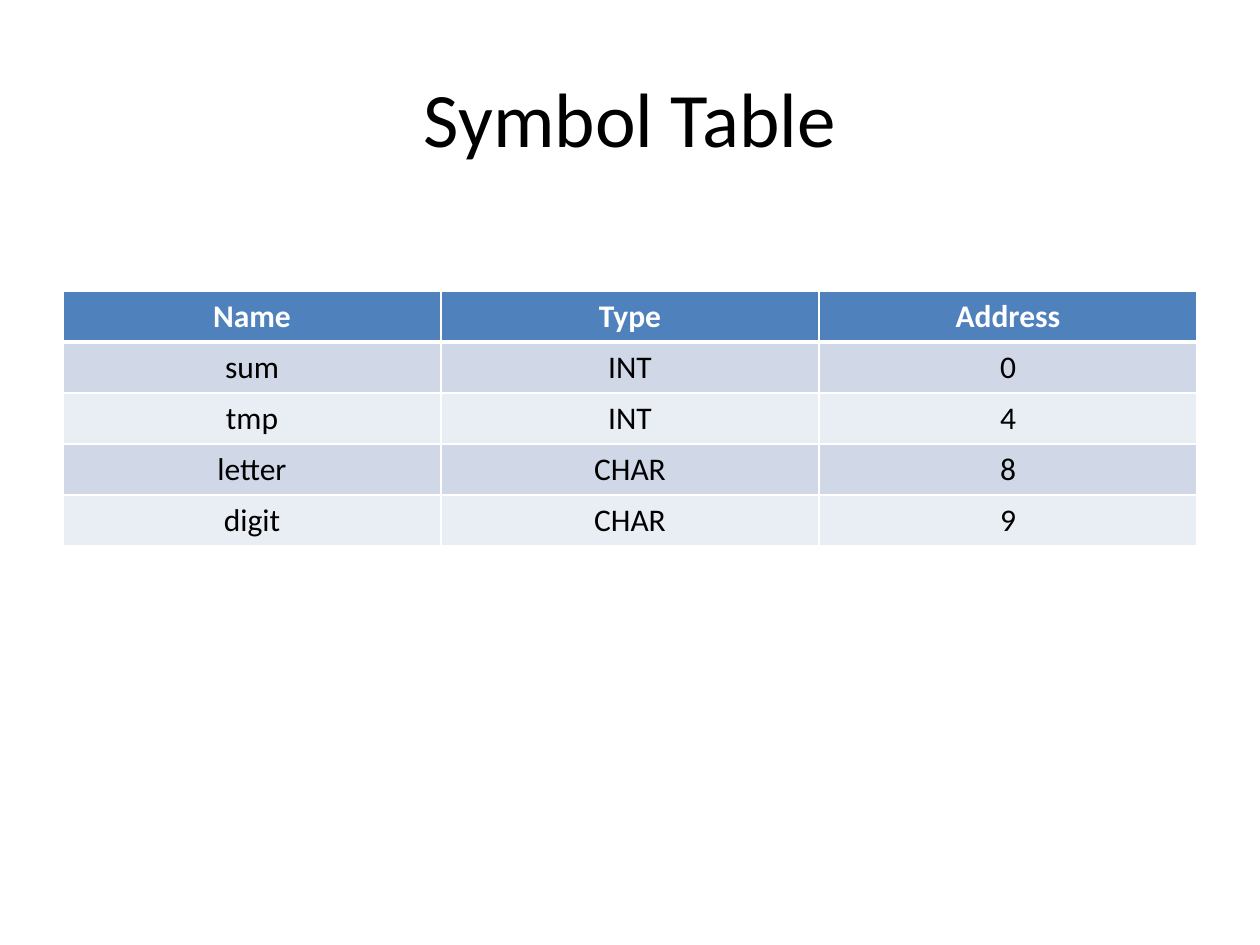
"""Build a slide that shows a compiler's symbol table."""
import lxml.etree
import pptx
import pptx.dml.color
import pptx.enum.text
import pptx.oxml.ns
import pptx.util

THEME = {
    "font": "Calibri",
    "title_size": 44,
    "cell_size": 18,
    "text": "000000",
    "header_text": "FFFFFF",
    "header": "4F81BD",
    "bands": ("D0D8E8", "E9EDF4"),
    "border": "FFFFFF",
    "thin": 1,
    "thick": 3,
}
ROWS = [
    ("Name", "Type", "Address"),
    ("sum", "INT", "0"),
    ("tmp", "INT", "4"),
    ("letter", "CHAR", "8"),
    ("digit", "CHAR", "9"),
]


def write(tf, text, size, color, bold=False):
    p = tf.paragraphs[0]
    p.alignment = pptx.enum.text.PP_ALIGN.CENTER
    r = p.add_run()
    r.text = text
    r.font.name = THEME["font"]
    r.font.size = pptx.util.Pt(size)
    r.font.bold = bold
    r.font.color.rgb = pptx.dml.color.RGBColor.from_string(color)


def add_border(cell, side, width):
    qn = pptx.oxml.ns.qn
    ln = lxml.etree.SubElement(cell._tc.get_or_add_tcPr(), qn(f"a:ln{side}"))
    ln.set("w", str(pptx.util.Pt(width)))
    fill = lxml.etree.SubElement(ln, qn("a:solidFill"))
    lxml.etree.SubElement(fill, qn("a:srgbClr")).set("val", THEME["border"])


prs = pptx.Presentation()
prs.slide_width = pptx.util.Inches(10)
prs.slide_height = pptx.util.Inches(7.5)
W, H = prs.slide_width, prs.slide_height
s = prs.slides.add_slide(prs.slide_layouts[6])

margin = int(W * 0.05)
content = W - 2 * margin

sp = s.shapes.add_textbox(margin, int(H * 0.04), content, int(H / 6))
tf = sp.text_frame
tf.word_wrap = True
tf.vertical_anchor = pptx.enum.text.MSO_ANCHOR.MIDDLE
write(tf, "Symbol Table", size=THEME["title_size"], color=THEME["text"])

table = s.shapes.add_table(
    len(ROWS), len(ROWS[0]), margin, int(H * 0.308), content, int(H * 0.27)
).table

for i, row in enumerate(ROWS):
    is_header = i == 0
    fill = THEME["header"] if is_header else THEME["bands"][(i - 1) % 2]
    color = THEME["header_text"] if is_header else THEME["text"]
    for j, text in enumerate(row):
        cell = table.cell(i, j)
        for side in "LRTB":
            under_header = (i, side) in ((0, "B"), (1, "T"))
            add_border(cell, side, THEME["thick" if under_header else "thin"])
        cell.fill.solid()
        cell.fill.fore_color.rgb = pptx.dml.color.RGBColor.from_string(fill)
        write(cell.text_frame, text, size=THEME["cell_size"], color=color, bold=is_header)

prs.save("out.pptx")
